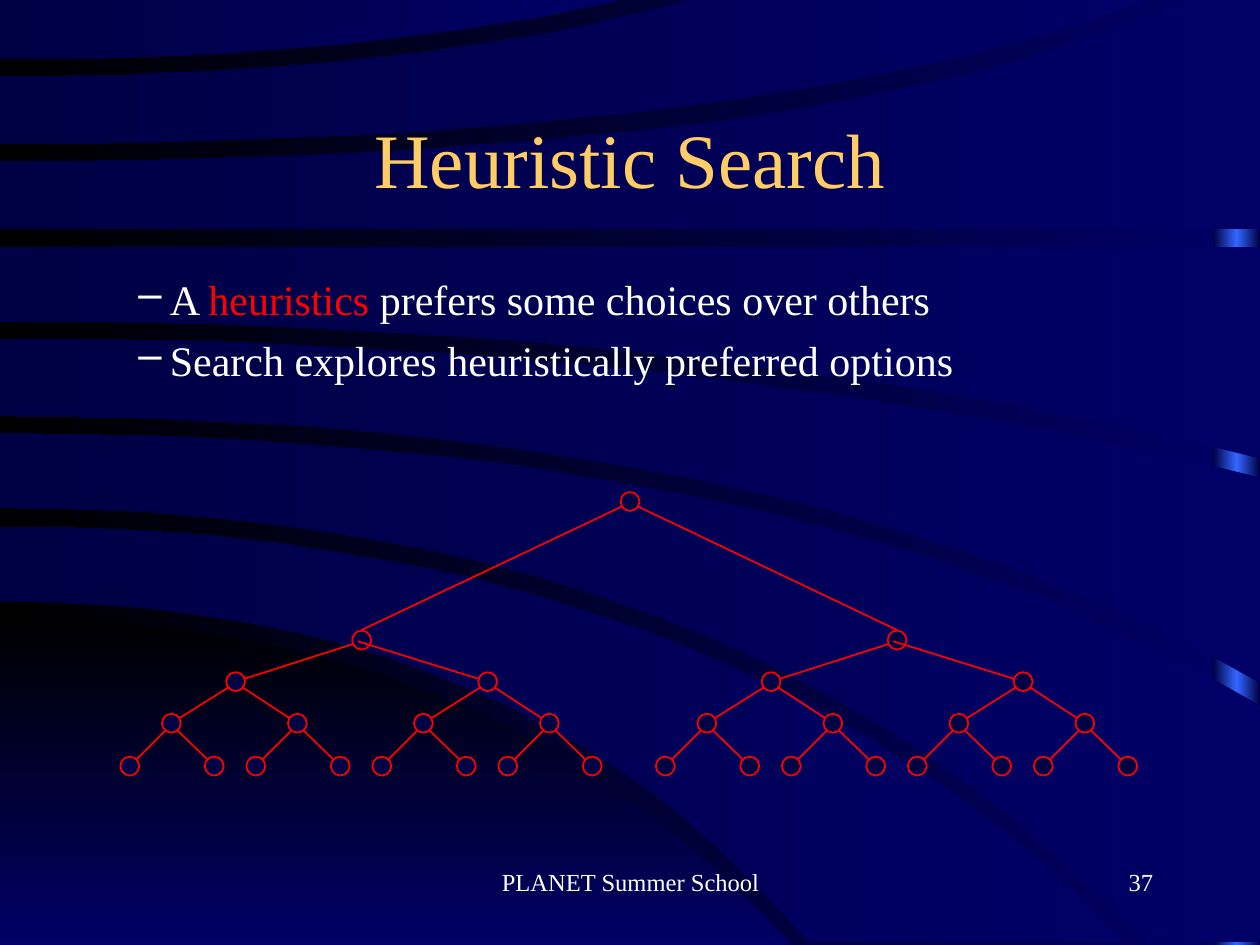
"""Build the Heuristic Search slide with its binary search tree."""
from copy import deepcopy

from pptx import Presentation
from pptx.dml.color import RGBColor
from pptx.enum.shapes import MSO_CONNECTOR as Link, MSO_SHAPE as Shape
from pptx.enum.text import MSO_ANCHOR as Anchor, PP_ALIGN as Align
from pptx.oxml.ns import qn
from pptx.util import Inches, Pt

FONT = "Times New Roman"
WHITE, RED, GOLD = "FFFFFF", "FF0000", "FFCC66"
BLUE, NAVY, BLACK, BRIGHT = "000066", "000044", "000000", "3366FF"

STEPS = 20
TOP, BOTTOM = -0.02, 7.48
HILL = ((4.91, 3.98, 6.28, 7.5), (7.5, 3, 6.28, 7.5))
BANDS = [
    ((4.18, 5.75, 8.93, BOTTOM), (4.77, 4.17, 6.42, BOTTOM)),
    ((3.44, 6.4, 10, 5.6), (4.03, 5.9, 9.09, BOTTOM)),
    ((2.69, 5.54, 10, 3.79), (3.3, 6.3, 10, 5.42)),
    ((1.96, 5, 10, 1.96), (2.55, 5.66, 10, 3.64)),
    ((1.28, 6.75, 9.43, TOP), (1.82, 5, 10, 1.82)),
    ((0.61, 3.34, 5.56, TOP), (1.14, 6.15, 9.17, TOP)),
    ((TOP, 2.5, 5.01, TOP), (0.47, 2.95, 5.01, TOP))]

TITLE = [[("Heuristic Search", GOLD)]]
POINTS = [
    [("A ", WHITE), ("heuristics ", RED),
     ("prefers some choices over others", WHITE)],
    [("Search explores heuristically preferred options", WHITE)]]
FOOTER = [[("PLANET Summer School", WHITE)]]
NUMBER = [[("37", WHITE)]]

ROOT = (5, 3.98)
NODE = 0.15
LEVELS = [
    {"shifts": (-2.13, 2.12), "drop": 1.1, "lift": 0.08},
    {"shifts": (-1, 1), "drop": 0.33, "lift": 0, "last_on_top": True},
    {"shifts": (-0.51, 0.49), "drop": 0.33, "lift": 0},
    {"shifts": (-0.33, 0.34), "drop": 0.34, "lift": 0}]


def color(value):
    return RGBColor.from_string(value)


def paint(fill, element, colors, angle):
    fill.gradient()
    fill.gradient_angle = angle
    stops = element.find(".//" + qn("a:gsLst"))
    for _ in colors[2:]:
        stops.insert(1, deepcopy(stops[0]))
    for index, (stop, value) in enumerate(zip(fill.gradient_stops, colors)):
        stop.position = index / (len(colors) - 1)
        stop.color.rgb = color(value)


def finish(shape, colors, angle):
    shape.shadow.inherit = False
    shape.line.fill.background()
    paint(shape.fill, shape.element, colors, angle)


def curve(start_y, bend_x, end_x, end_y):
    for step in range(STEPS + 1):
        t = step / STEPS
        yield (2 * t * (1 - t) * bend_x + t * t * end_x,
               start_y + t * t * (end_y - start_y))


def add_band(page, edges, colors, angle):
    upper, lower = [list(curve(*edge)) for edge in edges]
    ends = upper[-1], lower[-1]
    corner = (max(ends)[0], min(ends)[1])
    outline = upper + [corner] + lower[::-1]
    points = [(round(x * 100), round(y * 100)) for x, y in outline]
    builder = page.shapes.build_freeform(*points[0], scale=Inches(0.01))
    builder.add_line_segments(points[1:], close=True)
    finish(builder.convert_to_shape(), colors, angle)


def add_text(page, place, paragraphs, size, align, bullet=None, **frame_format):
    frame = page.shapes.add_textbox(*map(Inches, place)).text_frame
    for name, value in {"word_wrap": True, **frame_format}.items():
        setattr(frame, name, value)
    for index, spans in enumerate(paragraphs):
        para = frame.add_paragraph() if index else frame.paragraphs[0]
        para.alignment = align
        if index:
            para.space_before = Pt(6)
        if bullet:
            props = para._p.get_or_add_pPr()
            props.set("marL", str(Inches(0.63)))
            props.set("indent", str(Inches(-0.25)))
            tint = props.makeelement(qn("a:buClr"), {})
            tint.append(tint.makeelement(qn("a:srgbClr"), {"val": WHITE}))
            props.append(tint)
            props.append(props.makeelement(qn("a:buChar"), {"char": bullet}))
        for text, tone in spans:
            span = para.add_run()
            span.text = text
            span.font.name, span.font.size = FONT, Pt(size)
            span.font.color.rgb = color(tone)


def add_edge(page, start, end):
    edge = page.shapes.add_connector(Link.STRAIGHT, *map(Inches, start + end))
    edge.line.color.rgb, edge.line.width = color(RED), Pt(1)
    props = edge.element.spPr
    props.append(props.makeelement(qn("a:effectLst"), {}))


def add_node(page, x, y):
    corner = Inches(x - NODE / 2), Inches(y - NODE / 2)
    node = page.shapes.add_shape(Shape.OVAL, *corner, Inches(NODE), Inches(NODE))
    node.shadow.inherit = False
    node.fill.solid()
    node.fill.fore_color.rgb = color(NAVY)
    node.line.color.rgb, node.line.width = color(RED), Pt(1)


def add_tree(page):
    parents = [ROOT]
    for level in LEVELS:
        children = []
        for x, y in parents:
            left, right = [(x + shift, y + level["drop"]) for shift in level["shifts"]]
            ends = [(cx, cy - level["lift"]) for cx, cy in (left, right)]
            add_edge(page, (x, y + 0.01), ends[0])
            if level.get("last_on_top"):
                add_node(page, x, y)
                add_edge(page, (x - 0.03, y + 0.01), ends[1])
            else:
                add_edge(page, (x, y + 0.01), ends[1])
                add_node(page, x, y)
            children += [left, right]
        parents = children
    for x, y in parents:
        add_node(page, x, y)


def main():
    deck = Presentation()
    deck.slide_width, deck.slide_height = Inches(10), Inches(7.5)
    page = deck.slides.add_slide(deck.slide_layouts[6])
    paint(page.background.fill, page.element, [BLUE, BLACK], 180)
    strip = map(Inches, (9.63, 0, 0.37, 7.5))
    finish(page.shapes.add_shape(Shape.RECTANGLE, *strip), [NAVY, BRIGHT, NAVY], 180)
    add_band(page, HILL, [BLACK, BLUE], 270)
    for edges in BANDS:
        add_band(page, edges, [BLUE, NAVY], 180)
    add_text(page, (0.71, 0.42, 8.58, 1.25), TITLE, 44, Align.CENTER,
             vertical_anchor=Anchor.BOTTOM)
    add_text(page, (0.62, 2.08, 8.88, 4.04), POINTS, 24, Align.LEFT, "–",
             margin_top=Inches(0.09))
    add_tree(page)
    add_text(page, (3.42, 6.83, 3.17, 0.5), FOOTER, 14, Align.CENTER)
    add_text(page, (7.17, 6.83, 2.08, 0.5), NUMBER, 14, Align.RIGHT)
    deck.save("out.pptx")


if __name__ == "__main__":
    main()
